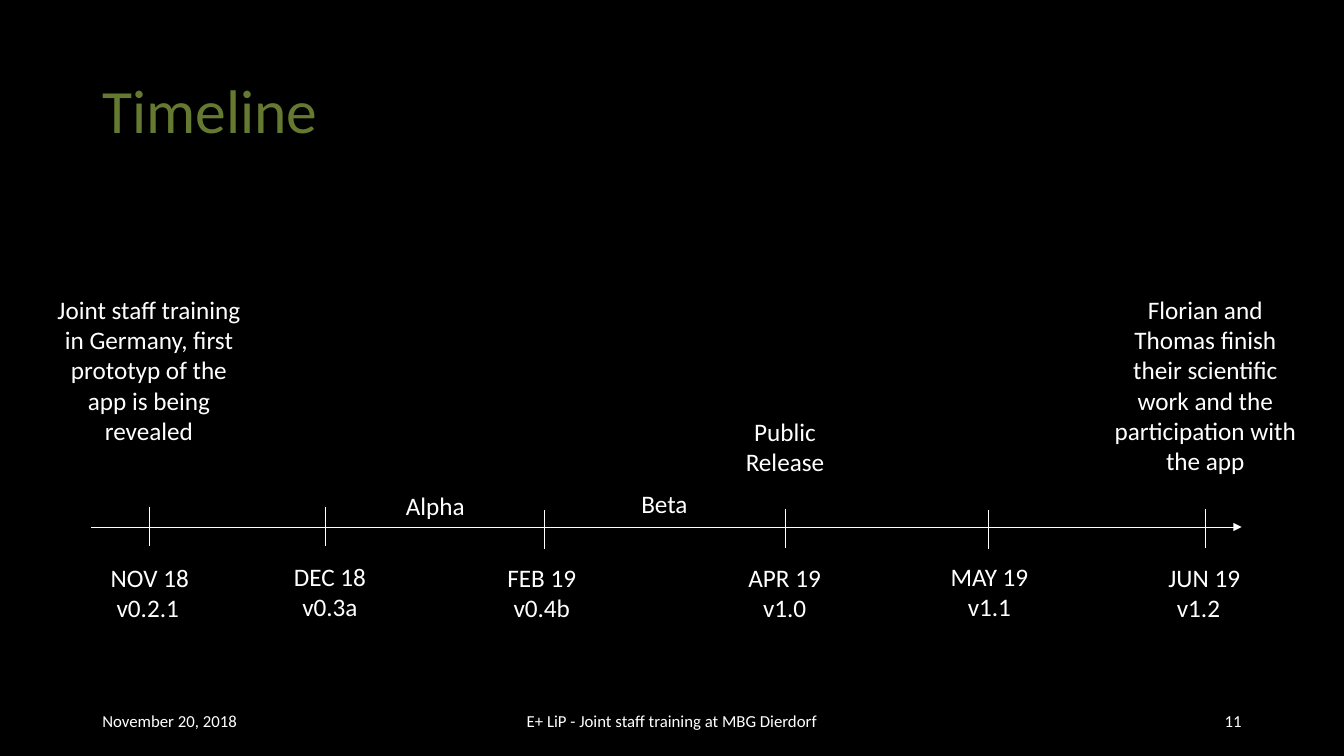
from dataclasses import dataclass

from lxml.etree import SubElement
from pptx import Presentation
from pptx.dml.color import RGBColor
from pptx.enum.shapes import MSO_CONNECTOR
from pptx.enum.text import MSO_ANCHOR, MSO_AUTO_SIZE, PP_ALIGN
from pptx.oxml.ns import qn
from pptx.util import Cm, Pt


@dataclass(frozen=True)
class Theme:
    background: RGBColor = RGBColor(0x00, 0x00, 0x00)
    foreground: RGBColor = RGBColor(0xFF, 0xFF, 0xFF)
    accent: RGBColor = RGBColor(0x65, 0x7A, 0x30)
    font: str = "Calibri"
    title_size: Pt = Pt(44)
    body_size: Pt = Pt(18)
    footer_size: Pt = Pt(12)
    line_width: Pt = Pt(0.5)


theme = Theme()


def write_text(shape, text, *, size=theme.body_size, color=theme.foreground,
               align=PP_ALIGN.CENTER, anchor=MSO_ANCHOR.TOP,
               auto_size=MSO_AUTO_SIZE.SHAPE_TO_FIT_TEXT, line_spacing=None):
    frame = shape.text_frame
    frame.text = text
    frame.word_wrap = True
    frame.auto_size = auto_size
    frame.vertical_anchor = anchor
    for paragraph in frame.paragraphs:
        paragraph.alignment = align
        paragraph.line_spacing = line_spacing
        font = paragraph.runs[0].font
        font.name, font.size, font.color.rgb = theme.font, size, color


def draw_line(start_x, start_y, end_x, end_y):
    line = slide.shapes.add_connector(
        MSO_CONNECTOR.STRAIGHT, Cm(start_x), Cm(start_y), Cm(end_x), Cm(end_y))
    line.line.color.rgb = theme.foreground
    line.line.width = theme.line_width
    SubElement(line._element.spPr, qn("a:effectLst"))
    return line


presentation = Presentation()
presentation.slide_width, presentation.slide_height = Cm(33.87), Cm(19.05)
slide = presentation.slides.add_slide(presentation.slide_layouts[5])
slide.background.fill.solid()
slide.background.fill.fore_color.rgb = theme.background

# Title
title = slide.shapes.title
title.left, title.top, title.width, title.height = Cm(2.33), Cm(1.01), Cm(29.21), Cm(3.68)
write_text(title, "Timeline", size=theme.title_size, color=theme.accent,
           align=PP_ALIGN.LEFT, anchor=MSO_ANCHOR.MIDDLE,
           auto_size=MSO_AUTO_SIZE.NONE, line_spacing=0.9)

# Footer
footer_items = [
    ("November 20, 2018", 2.33, 7.62, PP_ALIGN.LEFT),
    ("E+ LiP - Joint staff training at MBG Dierdorf", 11.22, 11.43, PP_ALIGN.CENTER),
    ("11", 23.92, 7.62, PP_ALIGN.RIGHT),
]
for text, left, width, align in footer_items:
    footer = slide.shapes.add_textbox(Cm(left), Cm(17.66), Cm(width), Cm(1.01))
    write_text(footer, text, size=theme.footer_size, align=align,
               anchor=MSO_ANCHOR.MIDDLE, auto_size=MSO_AUTO_SIZE.NONE)

# Time axis with arrowhead
axis = draw_line(2.29, 13.28, 31.29, 13.28)
SubElement(axis.line._get_or_add_ln(), qn("a:tailEnd"), type="triangle")

# Month ticks: position, top
ticks = [(3.77, 12.78), (8.2, 12.78), (13.72, 12.85),
         (19.79, 12.83), (24.92, 12.85), (30.38, 12.83)]
for tick_x, tick_top in ticks:
    draw_line(tick_x, tick_top, tick_x, tick_top + 0.99)

# Labels: text, left, top, width, height, alignment
labels = [
    # Months and versions
    ("NOV 18", 2.39, 14.05, 2.77, 1.03, PP_ALIGN.CENTER),
    ("v0.2.1", 2.69, 14.81, 2.24, 1.03, PP_ALIGN.LEFT),
    ("DEC 18\nv0.3a", 6.93, 14.02, 2.77, 1.8, PP_ALIGN.CENTER),
    ("FEB 19\nv0.4b", 12.27, 14.05, 2.77, 1.8, PP_ALIGN.CENTER),
    ("APR 19\nv1.0", 18.39, 14.05, 2.77, 1.8, PP_ALIGN.CENTER),
    ("MAY 19\nv1.1", 23.55, 14.02, 2.77, 1.8, PP_ALIGN.CENTER),
    ("JUN 19", 29.08, 14.05, 2.54, 1.03, PP_ALIGN.CENTER),
    ("v1.2", 29.41, 14.81, 1.88, 1.03, PP_ALIGN.LEFT),
    # Phases between the ticks
    ("Alpha", 8.2, 12.24, 5.54, 1.03, PP_ALIGN.CENTER),
    ("Beta", 13.72, 12.17, 6.05, 1.03, PP_ALIGN.CENTER),
    # Events above the axis
    ("Joint staff training in Germany, first prototyp of the app is being revealed",
     1.19, 7.29, 5.13, 4.88, PP_ALIGN.CENTER),
    ("Public Release", 17.93, 10.36, 3.71, 1.8, PP_ALIGN.CENTER),
    ("Florian and Thomas finish their scientific work and the participation with the app",
     27.81, 7.29, 5.13, 4.88, PP_ALIGN.CENTER),
]
for text, left, top, width, height, align in labels:
    label = slide.shapes.add_textbox(Cm(left), Cm(top), Cm(width), Cm(height))
    write_text(label, text, align=align)

presentation.save("out.pptx")
